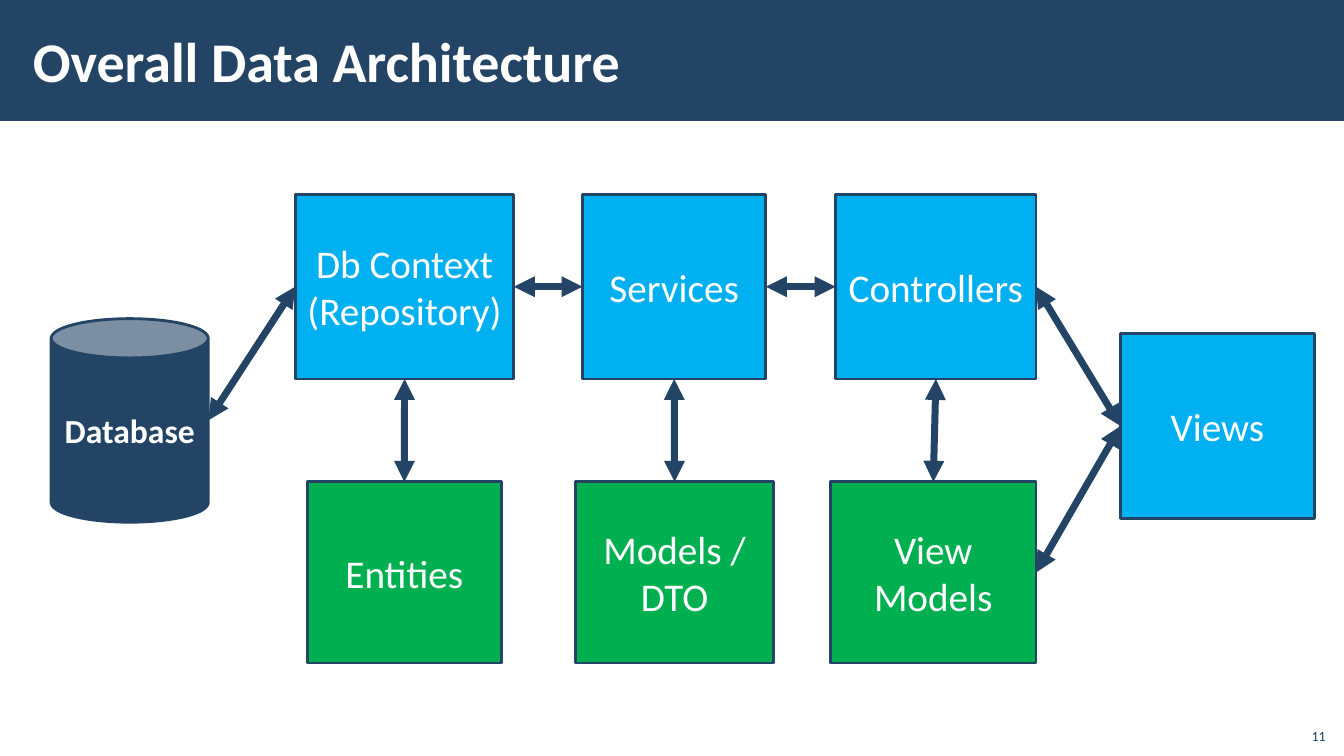
from pptx import Presentation
from pptx.dml.color import RGBColor as RGB
from pptx.enum.shapes import MSO_CONNECTOR as LINE, MSO_SHAPE as SHAPE
from pptx.enum.text import MSO_ANCHOR as ANCHOR, PP_ALIGN as ALIGN
from pptx.oxml.ns import qn
from pptx.util import Cm, Pt
from lxml.etree import SubElement as Sub

HUES = {"navy": "234465", "blue": "00B0F0", "green": "00B050", "white": "FFFFFF"}
FONT = "Calibri"
TOP, LEFT, BASE, RIGHT = range(4)
ROW1, TALL1 = 4.9, 4.65
ROW2, TALL2 = 12.14, 4.57


def hue(name):
    return RGB.from_string(HUES[name])


def write(frame, lines, size, color="white", bold=False,
          align=ALIGN.CENTER, anchor=ANCHOR.MIDDLE):
    frame.word_wrap = True
    frame.vertical_anchor = anchor
    for i, line in enumerate(lines):
        para = frame.add_paragraph() if i else frame.paragraphs[0]
        para.alignment = align
        run = para.add_run()
        run.text = line
        run.font.name = FONT
        run.font.size = Pt(size)
        run.font.bold = bold
        run.font.color.rgb = hue(color)


def add_form(slide, kind, area, fill, edge=True):
    form = slide.shapes.add_shape(kind, *map(Cm, area))
    form.shadow.inherit = False
    form.fill.solid()
    form.fill.fore_color.rgb = hue(fill)
    if edge:
        form.line.color.rgb = hue("navy")
        form.line.width = Pt(2)
    else:
        form.line.fill.background()
    return form


def add_box(slide, area, fill, *lines):
    box = add_form(slide, SHAPE.RECTANGLE, area, fill)
    write(box.text_frame, lines, 28)
    return box


def add_label(slide, area, text, size, **style):
    label = slide.shapes.add_textbox(*map(Cm, area))
    frame = label.text_frame
    write(frame, [text], size, **style)
    return frame


def add_arrow(slide, end, end_side, start=None, side=None, point=(0, 0)):
    """Join two boxes, or a free point and a box, with a two-way arrow."""
    x, y = map(Cm, point)
    arrow = slide.shapes.add_connector(LINE.STRAIGHT, x, y, x, y)
    if start is not None:
        arrow.begin_connect(start, side)
    arrow.end_connect(end, end_side)
    arrow.line.color.rgb = hue("navy")
    arrow.line.width = Pt(5)
    line = arrow.line._get_or_add_ln()
    for tag in ("a:headEnd", "a:tailEnd"):
        Sub(line, qn(tag), type="triangle")
    Sub(arrow._element.spPr, qn("a:effectLst"))


def main():
    deck = Presentation()
    deck.slide_width, deck.slide_height = Cm(33.87), Cm(19.05)
    slide = deck.slides.add_slide(deck.slide_layouts[6])

    # Title band
    add_form(slide, SHAPE.RECTANGLE, (0, 0, 33.87, 3.05), "navy", edge=False)
    title = add_label(slide, (0.53, 0.28, 27, 2.46), "Overall Data Architecture",
                      40, bold=True, align=ALIGN.LEFT)
    title.margin_left = title.margin_right = Cm(0.3)
    title.margin_top = title.margin_bottom = Cm(0.1)

    # Database
    store = add_form(slide, SHAPE.CAN, (1.29, 8.03, 3.96, 5.13), "navy")
    write(store.text_frame, ["Database"], 24, bold=True)

    # Layers above, the data they pass below
    stacks = [
        ((7.44, 5.51), ["Db Context", "(Repository)"], (7.75, 4.88), "Entities"),
        ((14.68, 4.62), ["Services"], (14.5, 5), "Models / DTO"),
        ((21.06, 5.05), ["Controllers"], (20.93, 5.18), "View Models"),
    ]
    layers, models = [], []
    for (x1, wide1), names, (x2, wide2), data in stacks:
        layers.append(add_box(slide, (x1, ROW1, wide1, TALL1), "blue", *names))
        models.append(add_box(slide, (x2, ROW2, wide2, TALL2), "green", data))
    views = add_box(slide, (28.24, 8.41, 4.88, TALL1), "blue", "Views")

    # Arrows
    add_arrow(slide, layers[0], LEFT, point=(5.25, 10.59))
    for layer, model in zip(layers, models):
        add_arrow(slide, layer, BASE, model, TOP)
    for here, there in zip(layers, layers[1:]):
        add_arrow(slide, there, LEFT, here, RIGHT)
    for box in (layers[-1], models[-1]):
        add_arrow(slide, views, LEFT, box, RIGHT)

    # Page number
    add_label(slide, (32.64, 18.08, 1.02, 0.81), "11", 10, color="navy",
              align=ALIGN.RIGHT, anchor=ANCHOR.BOTTOM)

    deck.save("out.pptx")


if __name__ == "__main__":
    main()
